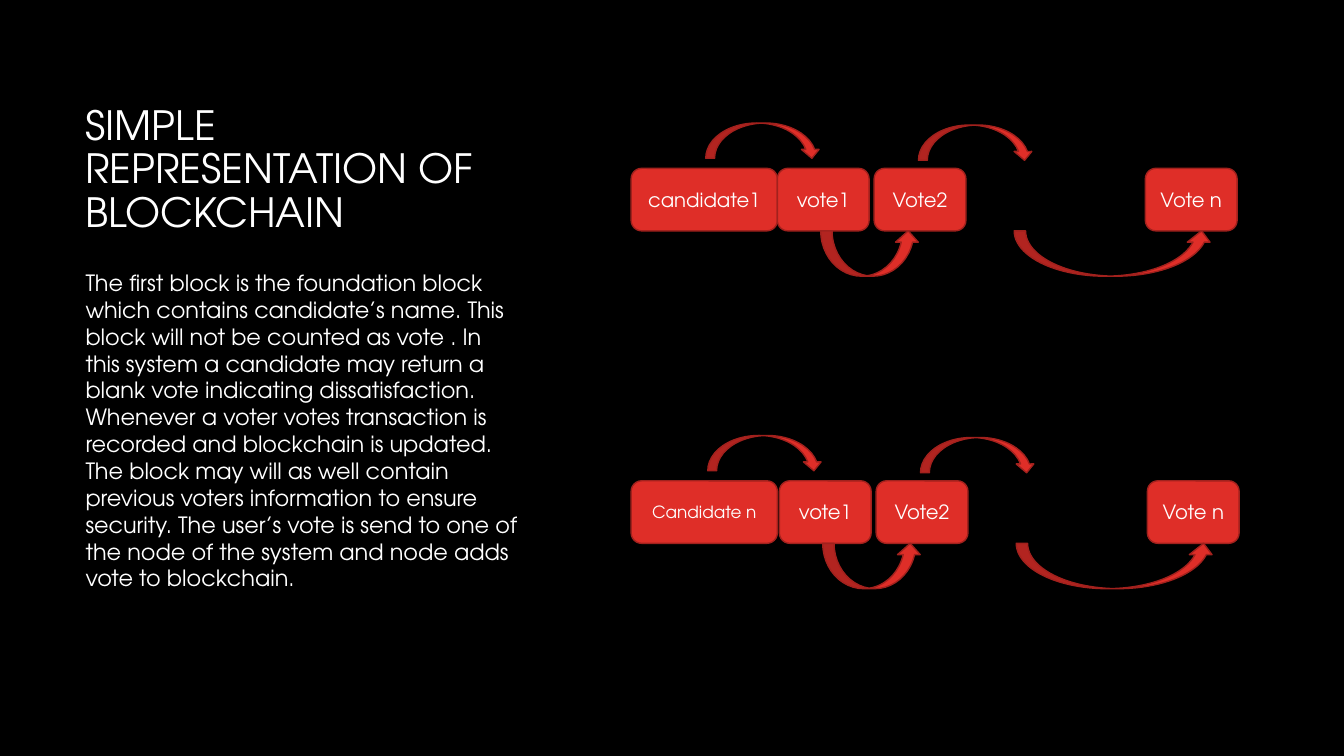
"""Build a slide showing two vote chains as a simple blockchain."""
import pptx
import pptx.dml.color
import pptx.enum.shapes
import pptx.enum.text
import pptx.util
from dataclasses import dataclass
from pptx.util import Inches


@dataclass(frozen=True)
class Theme:
    font: str = "TeX Gyre Adventor"
    background: str = "000000"
    text: str = "FFFFFF"
    block: str = "DF2E28"
    outline: str = "A2211D"
    title_size: float = 28.8
    body_size: float = 16
    label_size: float = 14
    small_label_size: float = 12


theme = Theme()
rgb = pptx.dml.color.RGBColor.from_string
MSO_SHAPE = pptx.enum.shapes.MSO_SHAPE
ANCHOR = pptx.enum.text.MSO_ANCHOR
ALIGN = pptx.enum.text.PP_ALIGN


def write_text(shape, text, size, anchor=ANCHOR.TOP, align=ALIGN.LEFT, line_spacing=None):
    frame = shape.text_frame
    frame.word_wrap = True
    frame.vertical_anchor = anchor
    paragraph = frame.paragraphs[0]
    paragraph.text = text
    paragraph.alignment = align
    paragraph.line_spacing = line_spacing
    paragraph.font.name = theme.font
    paragraph.font.size = pptx.util.Pt(size)
    paragraph.font.color.rgb = rgb(theme.text)


def add_red_shape(kind, left, top, width, height):
    shape = slide.shapes.add_shape(kind, Inches(left), Inches(top), Inches(width), Inches(height))
    shape.shadow.inherit = False
    shape.fill.solid()
    shape.fill.fore_color.rgb = rgb(theme.block)
    shape.line.color.rgb = rgb(theme.outline)
    shape.line.width = pptx.util.Pt(1)
    return shape


presentation = pptx.Presentation()
presentation.slide_width = Inches(13.33)
presentation.slide_height = Inches(7.5)
slide = presentation.slides.add_slide(presentation.slide_layouts[6])
slide.background.fill.solid()
slide.background.fill.fore_color.rgb = rgb(theme.background)

title = slide.shapes.add_textbox(Inches(0.75), Inches(1.67), Inches(4.5), Inches(0.72))
write_text(title, "SIMPLE REPRESENTATION OF BLOCKCHAIN", theme.title_size,
           anchor=ANCHOR.BOTTOM, line_spacing=0.9)

body = slide.shapes.add_textbox(Inches(0.75), Inches(2.62), Inches(4.5), Inches(4.18))
write_text(
    body,
    "The first block is the foundation block which contains candidate’s name. "
    "This block will not be counted as vote . In this system a candidate may return "
    "a blank vote indicating dissatisfaction. Whenever a voter votes transaction is "
    "recorded and blockchain is updated. The block may will as well contain previous "
    "voters information to ensure security. The user’s vote is send to one of the node "
    "of the system and node adds vote to blockchain.",
    theme.body_size,
)

block_height = 0.62
candidate_left, candidate_width = 6.26, 1.45
vote_width = 0.91
votes = [("vote1", 7.71), ("Vote n", 11.36), ("Vote2", 8.67)]
arrows = [
    (MSO_SHAPE.CURVED_UP_ARROW, 8.14, 0.62, 0.98, 0.45),
    (MSO_SHAPE.CURVED_DOWN_ARROW, 7.0, -0.45, 1.14, 0.35),
    (MSO_SHAPE.CURVED_DOWN_ARROW, 9.11, -0.43, 1.14, 0.35),
    (MSO_SHAPE.CURVED_UP_ARROW, 10.06, 0.62, 1.97, 0.45),
]
chains = [
    ("candidate1", theme.label_size, 1.67, 0),
    ("Candidate n", theme.small_label_size, 4.77, 0.02),
]

for candidate, candidate_size, top, shift in chains:
    blocks = [(candidate, candidate_left, candidate_width, candidate_size)]
    blocks += [(label, left + shift, vote_width, theme.label_size) for label, left in votes]
    for label, left, width, size in blocks:
        block = add_red_shape(MSO_SHAPE.ROUNDED_RECTANGLE, left, top, width, block_height)
        write_text(block, label, size, anchor=ANCHOR.MIDDLE, align=ALIGN.CENTER)
    for kind, left, offset, width, height in arrows:
        add_red_shape(kind, left + shift, top + offset, width, height)

presentation.save("out.pptx")
